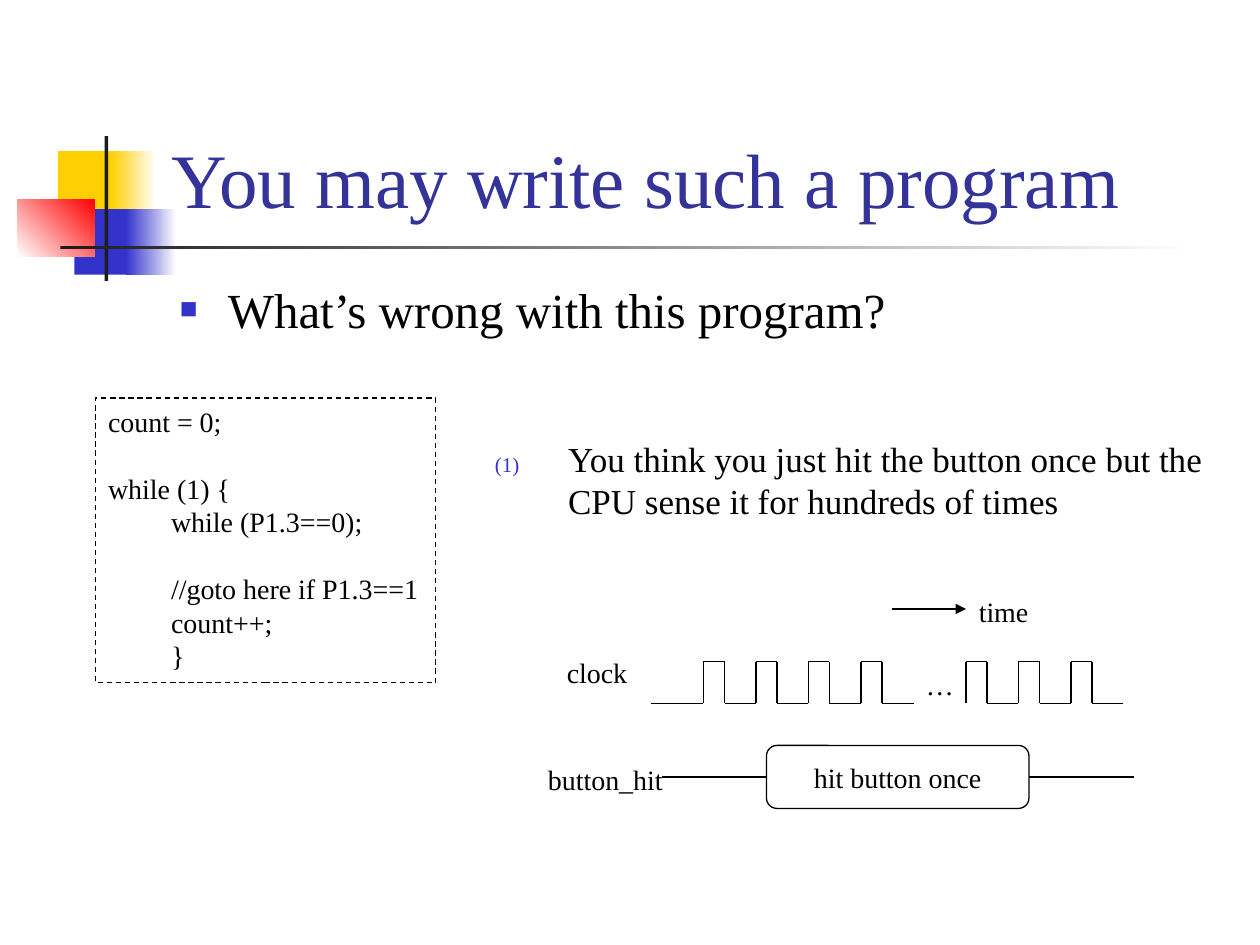
from lxml import etree
from pptx import Presentation, util as u
from pptx.dml.color import RGBColor
from pptx.enum import dml, shapes, text
from pptx.oxml.ns import qn

FONT = "Times New Roman"
HUE = {"gold": "FFCF01", "blue": "3333CC", "red": "FF0000", "dark": "1C1C1C",
       "white": "FFFFFF", "title": "333399", "black": "000000"}

# Left, top, width, height in inches; one colour, or a fade and its angle
DECOR = [
    ((0.46, 1.2, 0.48, 0.52), ["gold"], 0),
    ((0.88, 1.2, 0.36, 0.52), ["gold", "white"], 0),
    ((0.59, 1.66, 0.46, 0.52), ["blue"], 0),
    ((1, 1.66, 0.4, 0.52), ["blue", "white"], 0),
    ((0.14, 1.58, 0.61, 0.46), ["white", "red"], 45),
    ((0.83, 1.08, 0.03, 1.15), ["dark"], 0),
    ((0.48, 1.95, 9, 0.03), ["dark", "white"], 0),
]
TITLE = "You may write such a program"
# Box, size, hanging indent, bullet tag, bullet attributes, words
POINTS = [
    ((1.33, 2.17, 8.12, 0.63), 28, 0.38, "buChar", {"char": "■"},
     "What’s wrong with this program?"),
    ((3.83, 3.42, 5.92, 0.92), 20, 0.58, "buAutoNum",
     {"type": "arabicParenBoth"},
     "You think you just hit the button once but the CPU sense it "
     "for hundreds of times"),
]
# Line of code, indent level, blank lines before
CODE = [("count = 0;", 0, 0), ("while (1) {", 0, 1),
        ("while (P1.3==0);", 1, 0), ("//goto here if P1.3==1", 1, 1),
        ("count++;", 1, 0), ("}", 1, 0)]
LABELS = [("time", (7.67, 4.67, 0.6, 0.37)), ("clock", (4.4, 5.15, 0.68, 0.37)),
          ("…", (7.25, 5.25, 0.42, 0.37)),
          ("button_hit", (4.25, 6, 1.12, 0.37))]

# The timing chart sits on a grid of twelve cells to the inch
CELL = 1 / 12
HIGH, LOW, MID = 63, 67, 74
LEAD, PULSE, STEP = 62, 2, 5
TRAINS = [(67, 4), (92, 3)]     # first pulse, number of pulses
ARROW = (85, 58, 92, 58)
HIT = (73, 71, 25, 6)
WIRES = [(63, MID, 73, MID), (98, MID, 108, MID)]

prs = Presentation()
prs.slide_width, prs.slide_height = u.Inches(10), u.Inches(7.5)
slide = prs.slides.add_slide(prs.slide_layouts[6])


def rgb(name):
    return RGBColor.from_string(HUE[name])


def inch(vals):
    return [u.Inches(v) for v in vals]


def cells(vals):
    return inch(v * CELL for v in vals)


def write(par, words, size, hue="black"):
    run = par.add_run()
    run.text = words
    run.font.name, run.font.size = FONT, u.Pt(size)
    run.font.color.rgb = rgb(hue)


def add_text(box, wrap=True):
    frame = slide.shapes.add_textbox(*inch(box)).text_frame
    frame.word_wrap = wrap
    return frame


def add_box(kind, box):
    shape = slide.shapes.add_shape(kind, *box)
    shape.shadow.inherit = False
    shape.line.fill.background()
    shape.fill.background()
    return shape


def edge(line):
    line.color.rgb = rgb("black")
    line.width = u.Pt(0.75)


def add_line(ends, arrow=False):
    line = slide.shapes.add_connector(shapes.MSO_CONNECTOR.STRAIGHT,
                                      *cells(ends))
    edge(line.line)
    props = line._element.spPr
    etree.SubElement(props, qn("a:effectLst"))
    if arrow:
        etree.SubElement(props.find(qn("a:ln")), qn("a:tailEnd"),
                         type="triangle")


def add_bullet(par, hang, tag, attrs):
    props = par._p.get_or_add_pPr()
    props.set("marL", str(u.Inches(hang)))
    props.set("indent", str(-u.Inches(hang)))
    tint = etree.SubElement(props, qn("a:buClr"))
    etree.SubElement(tint, qn("a:srgbClr"), val=HUE["blue"])
    etree.SubElement(props, qn("a:buSzPct"), val="60000")
    etree.SubElement(props, qn("a:buFont"), typeface=FONT)
    etree.SubElement(props, qn("a:" + tag), **attrs)


def add_code():
    shape = add_box(shapes.MSO_SHAPE.RECTANGLE, inch((0.76, 3.16, 2.7, 2.26)))
    edge(shape.line)
    shape.line.dash_style = dml.MSO_LINE.DASH
    frame = shape.text_frame
    frame.word_wrap = False
    frame.vertical_anchor = text.MSO_ANCHOR.TOP
    for i, (words, level, gap) in enumerate(CODE):
        par = frame.add_paragraph() if i else frame.paragraphs[0]
        par.alignment = text.PP_ALIGN.LEFT
        par.space_before = u.Pt(19 * gap)
        par._p.get_or_add_pPr().set("marL", str(u.Inches(0.5 * level)))
        write(par, words, 16)


def add_clock():
    add_line((LEAD, LOW, TRAINS[0][0], LOW))
    for first, count in TRAINS:
        for x in range(first, first + STEP * count, STEP):
            fall, end = x + PULSE, x + STEP
            dots = [(x, LOW), (x, HIGH), (fall, HIGH), (fall, LOW), (end, LOW)]
            for a, b in zip(dots, dots[1:]):
                add_line(a + b)


def add_hit():
    shape = add_box(shapes.MSO_SHAPE.ROUNDED_RECTANGLE, cells(HIT))
    edge(shape.line)
    shape.text_frame.word_wrap = False
    shape.text_frame.vertical_anchor = text.MSO_ANCHOR.MIDDLE
    par = shape.text_frame.paragraphs[0]
    par.alignment = text.PP_ALIGN.CENTER
    write(par, "hit button once", 16)


for box, hues, angle in DECOR:
    fill = add_box(shapes.MSO_SHAPE.RECTANGLE, inch(box)).fill
    if len(hues) == 1:
        fill.solid()
        fill.fore_color.rgb = rgb(hues[0])
    else:
        fill.gradient()
        fill.gradient_angle = angle
        for stop, hue in zip(fill.gradient_stops, hues):
            stop.color.rgb = rgb(hue)

head = add_text((1.26, 0.23, 8.52, 1.6))
head.vertical_anchor = text.MSO_ANCHOR.BOTTOM
write(head.paragraphs[0], TITLE, 44, "title")

for box, size, hang, tag, attrs, words in POINTS:
    par = add_text(box).paragraphs[0]
    par.space_before = u.Pt(0.2 * size)
    add_bullet(par, hang, tag, attrs)
    write(par, words, size)

add_line(ARROW, arrow=True)
add_clock()
add_hit()
for wire in WIRES:
    add_line(wire)
for words, box in LABELS:
    write(add_text(box, wrap=False).paragraphs[0], words, 16)
add_code()

prs.save("out.pptx")
